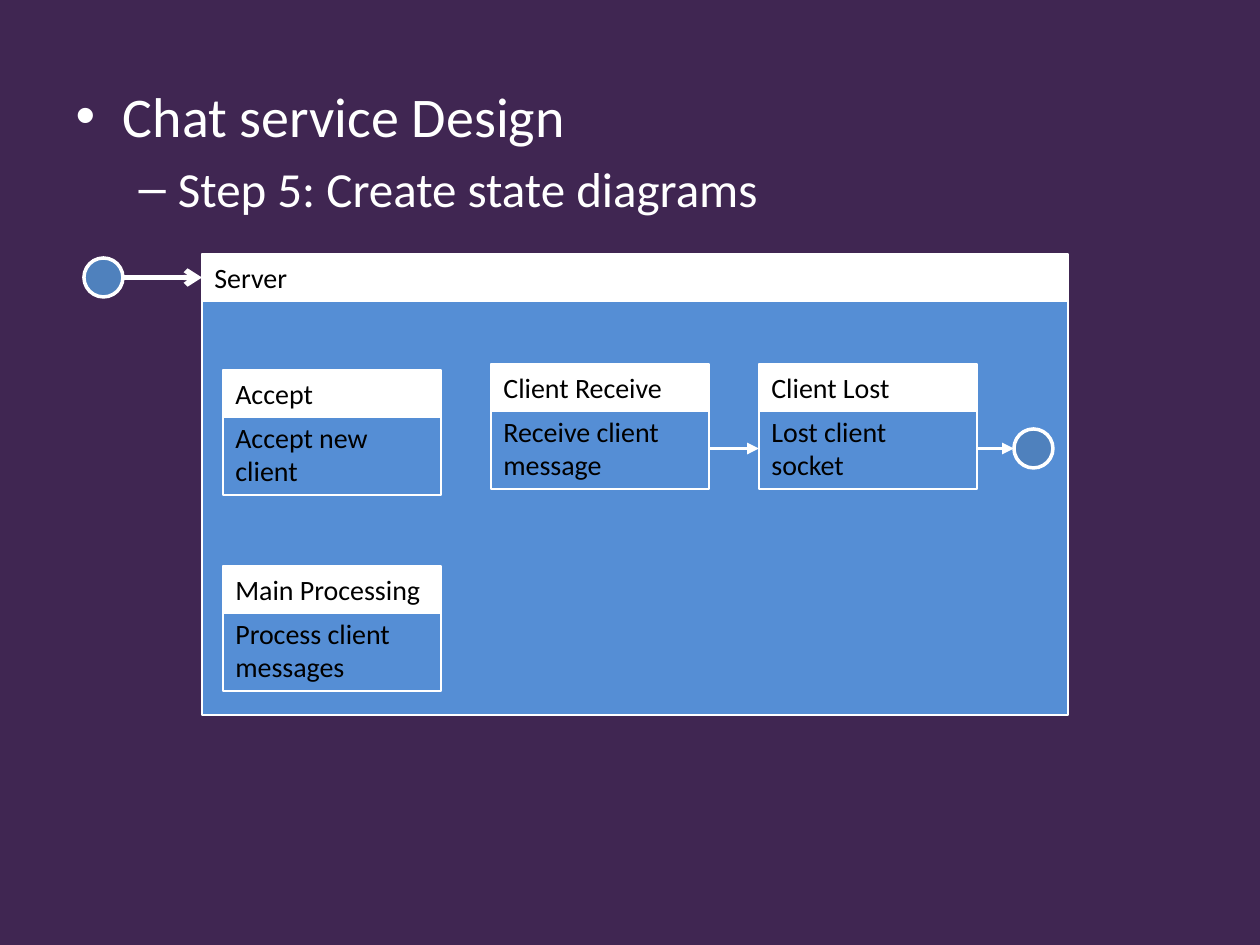
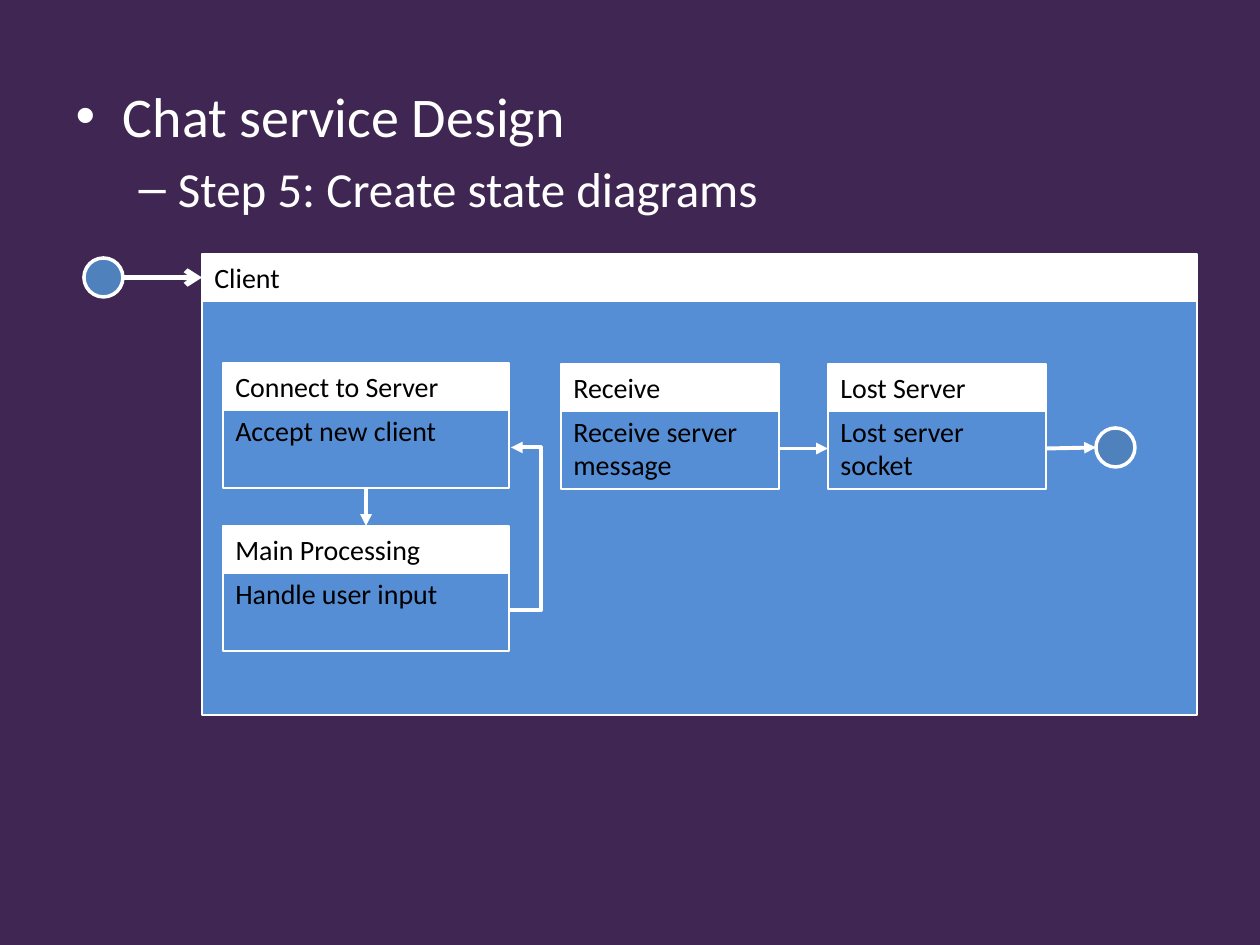
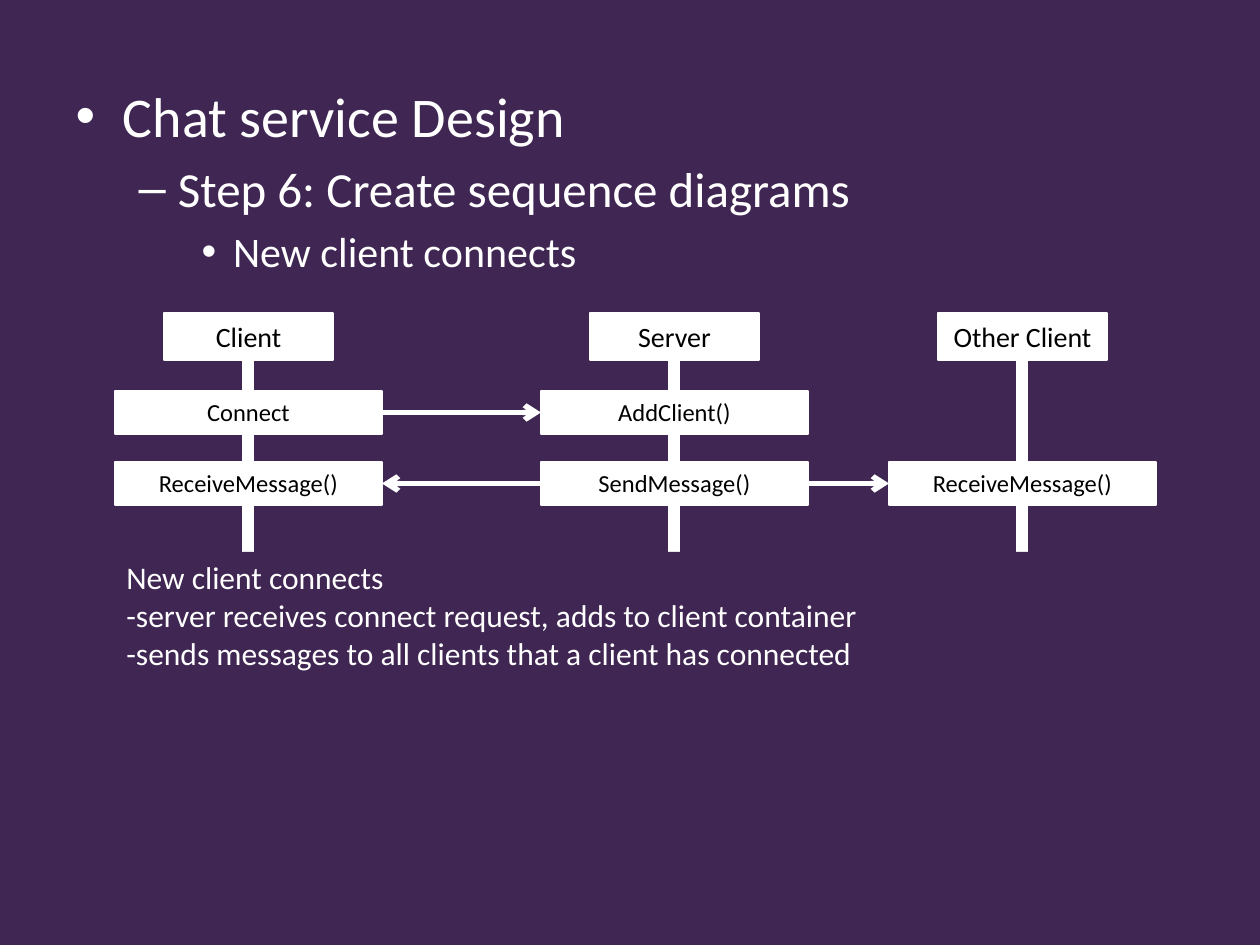
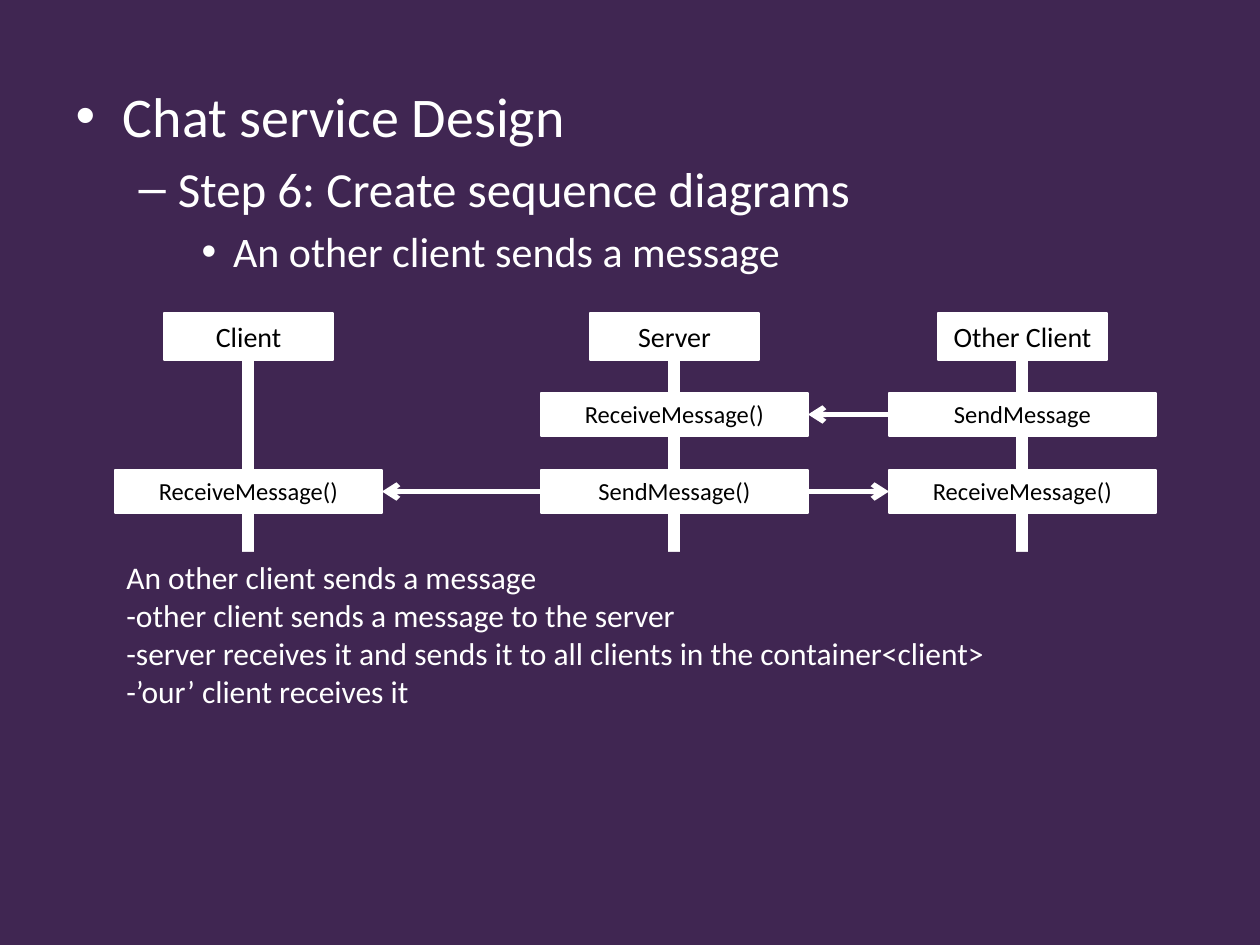
from dataclasses import dataclass

from lxml import etree
from pptx import Presentation
from pptx import util as u
from pptx.dml.color import RGBColor
from pptx.enum import shapes, text
from pptx.oxml.ns import qn


@dataclass(frozen=True)
class Theme:
    back: str = "402652"
    white: str = "FFFFFF"
    ink: str = "000000"
    panel: str = "558ED5"
    dot: str = "4F81BD"
    font: str = "Calibri"
    outline_sizes: tuple = (32, 28, 24)
    label: int = 16
    call: int = 14
    notes: int = 18
    border: float = 1.5
    ring: float = 2
    link: float = 2.25
    arrow: float = 3


THEME = Theme()
RECT, OVAL = shapes.MSO_SHAPE.RECTANGLE, shapes.MSO_SHAPE.OVAL
LEFT, CENTER = text.PP_ALIGN.LEFT, text.PP_ALIGN.CENTER

# Sizes in px, 126 to the inch
BODY = (63, 75, 1134, 843)
PANEL_LEFT, PANEL_TOP, PANEL_HEIGHT = 202, 254, 461
HEAD_HEIGHT, DOT = 47, 39
START = (84, 258)
STATE_DROP, STATE_HEIGHT = 44, 81
ELBOW_GAP, ELBOW_REACH = 2, 32
HEAD_TOP, HEAD_WIDTH = 313, 169
LIFE_TOP, LIFE_WIDTH, LIFE_HEIGHT = 354, 10, 488
CALL_WIDTH, CALL_HEIGHT = 267, 43
NOTES = (114, 552, 1022, 318)
ACTORS = {"Client": 248, "Server": 674, "Other Client": 1022}

# State slides: each state is (left, top, width, title, action)
STATE_SLIDES = [
    {
        "outline": ["Chat service Design", "Step 5: Create state diagrams"],
        "panel": ("Server", 866),
        "states": {
            "accept": (223, 370, 218, "Accept", "Accept new client"),
            "receive": (491, 364, 218, "Client Receive", "Receive client message"),
            "lost": (759, 364, 218, "Client Lost", "Lost client socket"),
            "main": (223, 566, 218, "Main Processing", "Process client messages"),
        },
        "end": (1014, 429),
        "down": [],
        "back": [],
    },
    {
        "outline": ["Chat service Design", "Step 5: Create state diagrams"],
        "panel": ("Client", 995),
        "states": {
            "connect": (223, 363, 286, "Connect to Server", "Accept new client"),
            "receive": (561, 364, 218, "Receive", "Receive server message"),
            "lost": (828, 364, 218, "Lost Server", "Lost server socket"),
            "main": (223, 526, 286, "Main Processing", "Handle user input"),
        },
        "end": (1096, 428),
        "down": [("connect", "main")],
        "back": [("main", "connect")],
    },
]

# Sequence slides: each row is (top, calls by actor, messages)
SEQUENCE_SLIDES = [
    {
        "outline": ["Chat service Design", "Step 6: Create sequence diagrams",
                    "New client connects"],
        "rows": [
            (391, {"Client": "Connect", "Server": "AddClient()"},
             [("Client", "Server")]),
            (462, {"Client": "ReceiveMessage()", "Server": "SendMessage()",
                   "Other Client": "ReceiveMessage()"},
             [("Server", "Client"), ("Server", "Other Client")]),
        ],
        "notes": ["New client connects",
                  "-server receives connect request, adds to client container",
                  "-sends messages to all clients that a client has connected"],
    },
    {
        "outline": ["Chat service Design", "Step 6: Create sequence diagrams",
                    "An other client sends a message"],
        "rows": [
            (393, {"Server": "ReceiveMessage()", "Other Client": "SendMessage"},
             [("Other Client", "Server")]),
            (470, {"Client": "ReceiveMessage()", "Server": "SendMessage()",
                   "Other Client": "ReceiveMessage()"},
             [("Server", "Client"), ("Server", "Other Client")]),
        ],
        "notes": ["An other client sends a message",
                  "-other client sends a message to the server",
                  "-server receives it and sends it to all clients in the container<client>",
                  "-’our’ client receives it"],
    },
]


def px(value):
    return u.Emu(round(value * 914400 / 126))


def paint(fill, color):
    fill.solid()
    fill.fore_color.rgb = RGBColor.from_string(color)


def write(para, words, size, color):
    span = para.add_run()
    span.text = words
    span.font.name = THEME.font
    span.font.size = u.Pt(size)
    span.font.color.rgb = RGBColor.from_string(color)


def paragraphs(frame, count):
    return [frame.paragraphs[0]] + [frame.add_paragraph() for _ in range(count - 1)]


def add_box(page, area, fill, lines=(), size=THEME.label, align=LEFT,
            color=THEME.ink, kind=RECT, border=THEME.border):
    box = page.shapes.add_shape(kind, *map(px, area))
    box.shadow.inherit = False
    paint(box.fill, fill)
    if border:
        paint(box.line.fill, THEME.white)
        box.line.width = u.Pt(border)
    else:
        box.line.fill.background()
    frame = box.text_frame
    frame.vertical_anchor = text.MSO_ANCHOR.TOP
    for para, words in zip(paragraphs(frame, len(lines)), lines):
        para.alignment = align
        write(para, words, size, color)
    return box


def add_dot(page, corner):
    return add_box(page, (*corner, DOT, DOT), THEME.dot, kind=OVAL, border=THEME.ring)


def edge(box, side):
    """Middle of one side of a box."""
    across = {"left": 0, "right": box.width}.get(side, box.width // 2)
    down = {"top": 0, "bottom": box.height}.get(side, box.height // 2)
    return box.left + across, box.top + down


def add_arrow(page, start, end, width, head, kind=shapes.MSO_CONNECTOR.STRAIGHT):
    line = page.shapes.add_connector(kind, *start, *end)
    paint(line.line.fill, THEME.white)
    line.line.width = u.Pt(width)
    properties = line.element.spPr
    etree.SubElement(properties.find(qn("a:ln")), qn("a:tailEnd"), type=head)
    etree.SubElement(properties, qn("a:effectLst"))
    return line


def add_return(page, source, target):
    """Elbow that leaves and enters on the right-hand side."""
    x, y = edge(target, "right")
    line = add_arrow(page, edge(source, "right"), (x + px(ELBOW_GAP), y),
                     THEME.link, "triangle", shapes.MSO_CONNECTOR.ELBOW)
    guides = line.element.spPr.find(qn("a:prstGeom")).get_or_add_avLst()
    bend = ELBOW_REACH * 100000 // ELBOW_GAP
    etree.SubElement(guides, qn("a:gd"), name="adj1", fmla=f"val {bend}")


def new_page(deck, outline):
    page = deck.slides.add_slide(deck.slide_layouts[1])
    title = page.shapes.title.element
    title.getparent().remove(title)
    body = page.placeholders[1]
    body.left, body.top, body.width, body.height = map(px, BODY)
    rows = paragraphs(body.text_frame, len(outline))
    for level, (para, words) in enumerate(zip(rows, outline)):
        para.level = level
        write(para, words, THEME.outline_sizes[level], THEME.white)
    return page


def add_state(page, left, top, width, title, action):
    """Draw a state and return its title box and its action box."""
    body = add_box(page, (left, top + STATE_DROP, width, STATE_HEIGHT),
                   THEME.panel, [action])
    head = add_box(page, (left, top, width, HEAD_HEIGHT), THEME.white, [title])
    return head, body


def build_states(deck, content):
    page = new_page(deck, content["outline"])
    # Panel with its entry point
    name, width = content["panel"]
    drop = HEAD_HEIGHT - 6
    add_box(page, (PANEL_LEFT, PANEL_TOP + drop, width, PANEL_HEIGHT - drop), THEME.panel)
    head = add_box(page, (PANEL_LEFT, PANEL_TOP, width, HEAD_HEIGHT), THEME.white, [name])
    start = add_dot(page, START)
    add_arrow(page, edge(start, "right"), edge(head, "left"), THEME.arrow, "arrow")
    # States and end point
    heads, bodies = {}, {}
    for key, state in content["states"].items():
        heads[key], bodies[key] = add_state(page, *state)
    bodies["end"] = add_dot(page, content["end"])
    # Transitions: across between action boxes, down onto a title box
    for source, target in (("receive", "lost"), ("lost", "end")):
        add_arrow(page, edge(bodies[source], "right"), edge(bodies[target], "left"),
                  THEME.link, "triangle")
    for source, target in content["down"]:
        add_arrow(page, edge(bodies[source], "bottom"), edge(heads[target], "top"),
                  THEME.link, "triangle")
    for source, target in content["back"]:
        add_return(page, bodies[source], bodies[target])


def build_sequence(deck, content):
    page = new_page(deck, content["outline"])
    # Actors and lifelines
    for name, middle in ACTORS.items():
        add_box(page, (middle - LIFE_WIDTH // 2, LIFE_TOP, LIFE_WIDTH, LIFE_HEIGHT),
                THEME.white)
        add_box(page, (middle - HEAD_WIDTH // 2, HEAD_TOP, HEAD_WIDTH, HEAD_HEIGHT),
                THEME.white, [name], align=CENTER)
    # Calls and messages
    for top, calls, messages in content["rows"]:
        boxes = {
            name: add_box(page, (ACTORS[name] - CALL_WIDTH // 2, top,
                                 CALL_WIDTH, CALL_HEIGHT),
                          THEME.white, [call], THEME.call, CENTER)
            for name, call in calls.items()
        }
        for source, target in messages:
            forward = ACTORS[source] < ACTORS[target]
            leave, enter = ("right", "left") if forward else ("left", "right")
            add_arrow(page, edge(boxes[source], leave), edge(boxes[target], enter),
                      THEME.arrow, "arrow")
    # Explanation covering the foot of the lifelines
    add_box(page, NOTES, THEME.back, content["notes"], THEME.notes,
            color=THEME.white, border=None)


def main():
    deck = Presentation()
    deck.slide_width, deck.slide_height = px(1260), px(945)
    paint(deck.slide_master.background.fill, THEME.back)
    for content in STATE_SLIDES:
        build_states(deck, content)
    for content in SEQUENCE_SLIDES:
        build_sequence(deck, content)
    deck.save("out.pptx")


if __name__ == "__main__":
    main()
